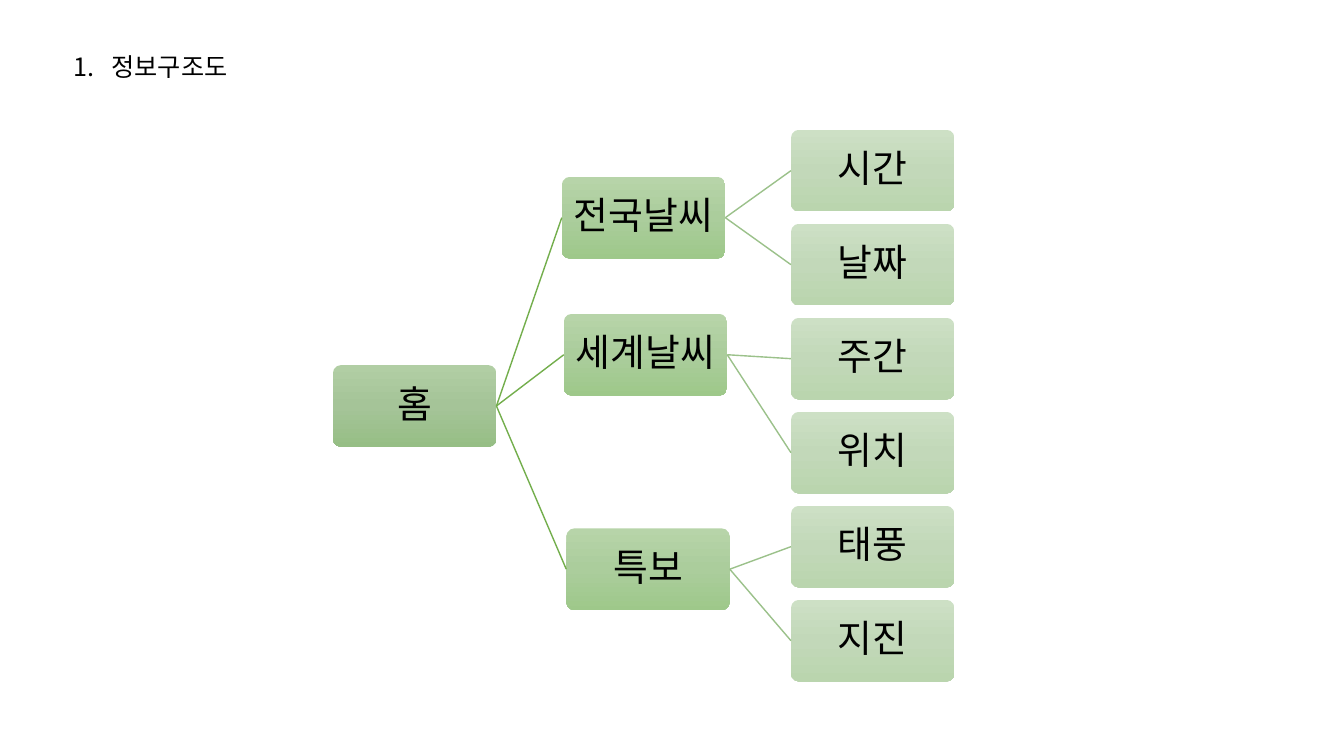
"""Build a slide with the information structure tree of a weather service."""
from copy import deepcopy

from lxml import etree
from pptx import Presentation
from pptx.dml.color import RGBColor
from pptx.enum.shapes import MSO_CONNECTOR, MSO_SHAPE
from pptx.enum.text import MSO_ANCHOR, MSO_AUTO_SIZE, PP_ALIGN
from pptx.oxml.ns import qn
from pptx.util import Pt

ROUNDED = MSO_SHAPE.ROUNDED_RECTANGLE
STRAIGHT = MSO_CONNECTOR.STRAIGHT
MIDDLE, TOP = MSO_ANCHOR.MIDDLE, MSO_ANCHOR.TOP
CENTER, LEFT = PP_ALIGN.CENTER, PP_ALIGN.LEFT
NO_AUTOFIT = MSO_AUTO_SIZE.NONE

FONT = "Noto Sans CJK KR"
BLACK = RGBColor(0x00, 0x00, 0x00)
HOME_FILL = (RGBColor(0xB1, 0xCE, 0xA4), RGBColor(0xA5, 0xC4, 0x98), RGBColor(0x96, 0xBE, 0x85))
MENU_FILL = (RGBColor(0xB7, 0xD4, 0xA9), RGBColor(0xAB, 0xCD, 0x9C), RGBColor(0x9E, 0xC8, 0x8A))
PAGE_FILL = (RGBColor(0xCD, 0xE0, 0xC5), RGBColor(0xC2, 0xD8, 0xB9), RGBColor(0xBA, 0xD5, 0xAE))
MENU_LINE = RGBColor(0x73, 0xAE, 0x4C)
PAGE_LINE = RGBColor(0x9B, 0xC1, 0x8A)

BOX_WIDTH, BOX_HEIGHT = 116.8, 58.4
HOME_LEFT, HOME_TOP = 237.8, 260.8
PAGE_LEFT, PAGE_TOP, PAGE_STEP = 565, 92.7, 67.15
MENUS = [
    ("전국날씨", 401.3, 126.3, ("시간", "날짜")),
    ("세계날씨", 402.7, 224.2, ("주간", "위치")),
    ("특보", 404.5, 377.4, ("태풍", "지진")),
]
LEFT_SITE, RIGHT_SITE = 1, 3

deck = Presentation()
deck.slide_width, deck.slide_height = Pt(960), Pt(540)
page = deck.slides.add_slide(deck.slide_layouts[5])


def write(shape, text, size, alignment, anchor):
    frame = shape.text_frame
    frame.text = text
    frame.word_wrap = True
    frame.auto_size = NO_AUTOFIT
    frame.vertical_anchor = anchor
    para = frame.paragraphs[0]
    para.alignment = alignment
    para.font.size = Pt(size)
    para.font.color.rgb = BLACK
    para.font.name = FONT
    defaults = para._p.pPr.find(qn("a:defRPr"))
    etree.SubElement(defaults, qn("a:ea")).set("typeface", FONT)
    return para


def add_box(text, left, top, colors, parent=None, line_color=None):
    box = page.shapes.add_shape(ROUNDED, Pt(left), Pt(top), Pt(BOX_WIDTH), Pt(BOX_HEIGHT))
    box.adjustments[0] = 0.1
    box.shadow.inherit = False
    box.line.fill.background()
    box.fill.gradient()
    box.fill.gradient_angle = 270
    stop_list = box._element.spPr.find(".//" + qn("a:gsLst"))
    stop_list.insert(1, deepcopy(stop_list[0]))
    for stop, position, color in zip(box.fill.gradient_stops, (0, 0.5, 1), colors):
        stop.position = position
        stop.color.rgb = color
    frame = box.text_frame
    frame.margin_left = frame.margin_right = Pt(2)
    frame.margin_top = frame.margin_bottom = Pt(2)
    write(box, text, 27, CENTER, MIDDLE).line_spacing = 0.9
    if parent is not None:
        branch = page.shapes.add_connector(STRAIGHT, 0, 0, 0, 0)
        branch.begin_connect(parent, RIGHT_SITE)
        branch.end_connect(box, LEFT_SITE)
        branch.line.color.rgb = line_color
        branch.line.width = Pt(1)
        etree.SubElement(branch._element.spPr, qn("a:effectLst"))
    return box


title = page.shapes.title
title.left, title.top, title.width, title.height = Pt(45.4), Pt(33.1), Pt(327.6), Pt(28.8)
heading = write(title, "정보구조도", 18, LEFT, TOP)
heading.line_spacing = 1.0
heading_format = heading._p.pPr
heading_format.set("marL", str(Pt(27)))
heading_format.set("indent", str(Pt(-27)))
number = etree.Element(qn("a:buAutoNum"), type="arabicPeriod")
heading_format.find(qn("a:defRPr")).addprevious(number)

home = add_box("홈", HOME_LEFT, HOME_TOP, HOME_FILL)
page_top = PAGE_TOP
for menu_name, menu_left, menu_top, page_names in MENUS:
    menu = add_box(menu_name, menu_left, menu_top, MENU_FILL, home, MENU_LINE)
    for page_name in page_names:
        add_box(page_name, PAGE_LEFT, page_top, PAGE_FILL, menu, PAGE_LINE)
        page_top += PAGE_STEP

deck.save("out.pptx")
